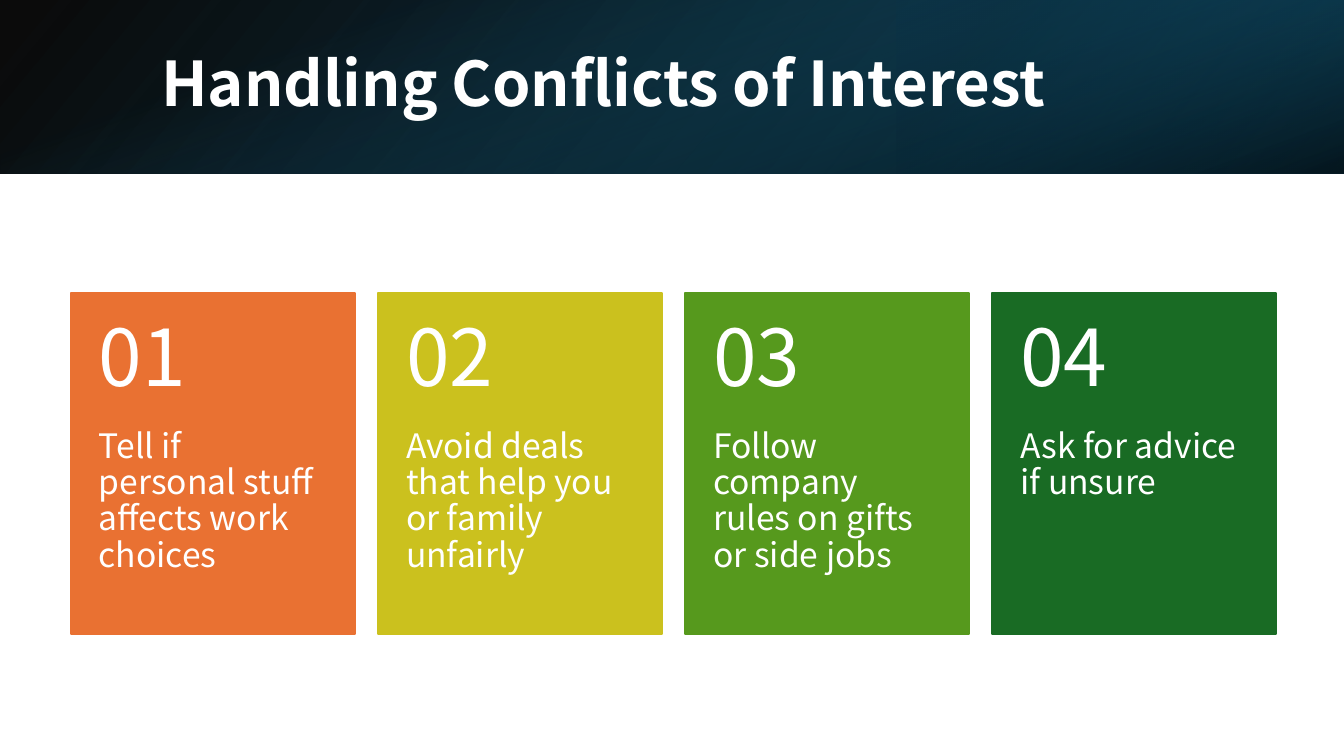
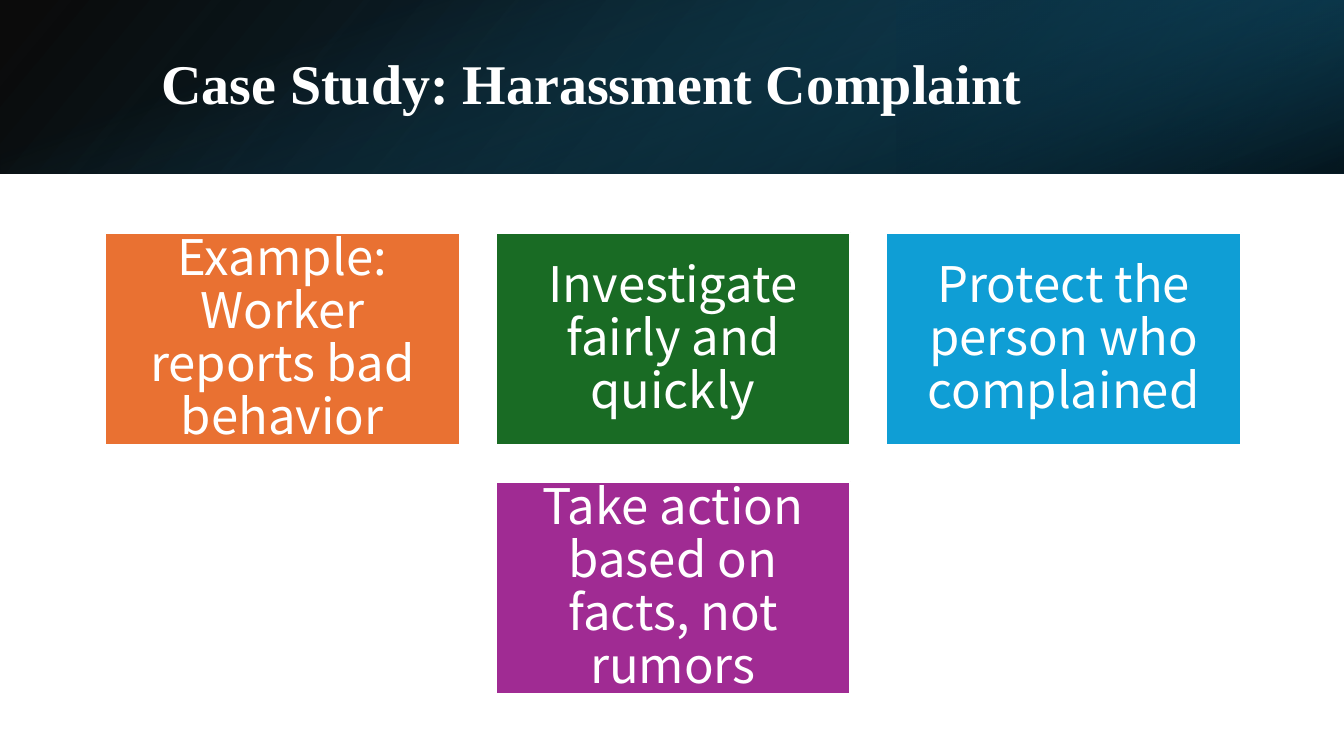
from dataclasses import dataclass

from lxml.etree import SubElement
from pptx import Presentation
from pptx.dml.color import RGBColor
from pptx.enum.shapes import MSO_SHAPE
from pptx.enum.text import MSO_ANCHOR, MSO_AUTO_SIZE, PP_ALIGN
from pptx.oxml.ns import qn
from pptx.shapes.autoshape import Shape
from pptx.slide import Slide
from pptx.text.text import TextFrame
from pptx.util import Inches, Pt

COLORS = {
    "white": "FFFFFF",
    "black": "000000",
    "navy": "104862",
    "deep": "0B3041",
    "teal": "156082",
    "orange": "E97132",
    "yellow": "CBC11E",
    "lime": "56991D",
    "green": "196B24",
    "blue": "0F9ED5",
    "purple": "A02B93",
}
BODY_FONT = "Noto Sans CJK SC"
SERIF_FONT = "Times New Roman"
SLIDE_WIDTH, SLIDE_HEIGHT = 13.33, 7.5
BAND_HEIGHT = 1.72
TITLE_ONLY_LAYOUT = 5


@dataclass(frozen=True)
class Box:
    left: float
    top: float
    width: float
    height: float

    def lengths(self) -> tuple[int, ...]:
        return tuple(Inches(v) for v in (self.left, self.top, self.width, self.height))


@dataclass(frozen=True)
class Stop:
    position: int
    color: str
    opacity: int = 100


@dataclass(frozen=True)
class Band:
    box: Box
    stops: tuple[Stop, Stop]
    angle: int
    rotation: int = 0
    flipped: bool = False


@dataclass(frozen=True)
class TextStyle:
    size: int
    font: str = BODY_FONT
    bold: bool = False
    alignment: PP_ALIGN = PP_ALIGN.LEFT
    anchor: MSO_ANCHOR = MSO_ANCHOR.MIDDLE
    insets: tuple[float, float, float, float] = (0.1, 0.05, 0.1, 0.05)


@dataclass(frozen=True)
class Card:
    text: str
    color: str


BANDS = (
    Band(Box(0, 0, SLIDE_WIDTH, BAND_HEIGHT),
         (Stop(0, "black", 96), Stop(100, "navy")), 140, flipped=True),
    Band(Box(8.89, 0, 4.44, BAND_HEIGHT),
         (Stop(19, "deep", 68), Stop(100, "teal", 79)), 320, rotation=180, flipped=True),
    Band(Box((SLIDE_WIDTH - BAND_HEIGHT) / 2, (BAND_HEIGHT - SLIDE_WIDTH) / 2,
             BAND_HEIGHT, SLIDE_WIDTH),
         (Stop(23, "teal", 0), Stop(99, "black", 74)), 340, rotation=90),
)
TITLE_BOX = Box(1.5, 0.38, 10.98, 0.96)

CONFLICT_CARDS = (
    Card("Tell if personal stuff affects work choices", "orange"),
    Card("Avoid deals that help you or family unfairly", "yellow"),
    Card("Follow company rules on gifts or side jobs", "lime"),
    Card("Ask for advice if unsure", "green"),
)
CASE_CARDS = (
    Card("Example: Worker reports bad behavior", "orange"),
    Card("Investigate fairly and quickly", "green"),
    Card("Protect the person who complained", "blue"),
    Card("Take action based on facts, not rumors", "purple"),
)
NUMBER_STYLE = TextStyle(56, insets=(0.28, 0.18, 0.28, 0.18))
ADVICE_STYLE = TextStyle(24, anchor=MSO_ANCHOR.TOP, insets=(0.28, 0, 0.28, 0.36))
CASE_STYLE = TextStyle(35, alignment=PP_ALIGN.CENTER, insets=(0.15, 0.15, 0.15, 0.15))


def rgb(name: str) -> RGBColor:
    return RGBColor.from_string(COLORS[name])


def write(frame: TextFrame, text: str, style: TextStyle) -> None:
    frame.text = text
    frame.word_wrap = True
    frame.auto_size = MSO_AUTO_SIZE.NONE
    frame.vertical_anchor = style.anchor
    (frame.margin_left, frame.margin_top,
     frame.margin_right, frame.margin_bottom) = map(Inches, style.insets)
    paragraph = frame.paragraphs[0]
    paragraph.alignment = style.alignment
    paragraph.line_spacing = 0.9
    paragraph.font.size = Pt(style.size)
    paragraph.font.name = style.font
    paragraph.font.bold = style.bold
    paragraph.font.color.rgb = rgb("white")


def add_rectangle(slide: Slide, box: Box) -> Shape:
    shape = slide.shapes.add_shape(MSO_SHAPE.RECTANGLE, *box.lengths())
    shape.shadow.inherit = False
    return shape


def add_card(slide: Slide, box: Box, color: str, line_color: str) -> Shape:
    shape = add_rectangle(slide, box)
    shape.fill.solid()
    shape.fill.fore_color.rgb = rgb(color)
    shape.line.color.rgb = rgb(line_color)
    shape.line.width = Pt(1.5)
    return shape


def add_text(slide: Slide, box: Box, text: str, style: TextStyle) -> None:
    write(slide.shapes.add_textbox(*box.lengths()).text_frame, text, style)


def add_band(slide: Slide, band: Band) -> None:
    """Draw a rectangle whose gradient stops may be translucent."""
    shape = add_rectangle(slide, band.box)
    shape.rotation = band.rotation
    shape.line.fill.background()
    properties = shape._element.spPr
    if band.flipped:
        properties.find(qn("a:xfrm")).set("flipH", "1")
    gradient = SubElement(properties, qn("a:gradFill"), rotWithShape="1")
    properties.find(qn("a:prstGeom")).addnext(gradient)
    stop_list = SubElement(gradient, qn("a:gsLst"))
    for stop in band.stops:
        entry = SubElement(stop_list, qn("a:gs"), pos=str(stop.position * 1000))
        color = SubElement(entry, qn("a:srgbClr"), val=COLORS[stop.color])
        if stop.opacity < 100:
            SubElement(color, qn("a:alpha"), val=str(stop.opacity * 1000))
    SubElement(gradient, qn("a:lin"), ang=str(band.angle * 60000), scaled="0")


def add_titled_slide(presentation: Presentation, text: str, style: TextStyle) -> Slide:
    """Add a slide with the header bands behind its title."""
    slide = presentation.slides.add_slide(presentation.slide_layouts[TITLE_ONLY_LAYOUT])
    slide.background.fill.solid()
    slide.background.fill.fore_color.rgb = rgb("white")
    for band in BANDS:
        add_band(slide, band)
    title = slide.shapes.title
    title.left, title.top, title.width, title.height = TITLE_BOX.lengths()
    write(title.text_frame, text, style)
    slide.shapes._spTree.append(title._element)
    return slide


def build_conflicts_slide(presentation: Presentation) -> None:
    slide = add_titled_slide(presentation, "Handling Conflicts of Interest",
                             TextStyle(44, bold=True))
    first_left, last_left, top = 0.7, 9.84, 2.91
    width, height, number_height = 2.82, 3.38, 1.35
    pitch = (last_left - first_left) / (len(CONFLICT_CARDS) - 1)
    for index, card in enumerate(CONFLICT_CARDS):
        left = first_left + index * pitch
        add_card(slide, Box(left, top, width, height), card.color, card.color)
        add_text(slide, Box(left, top + number_height, width, height - number_height),
                 card.text, ADVICE_STYLE)
        add_text(slide, Box(left, top, width, number_height),
                 f"{index + 1:02}", NUMBER_STYLE)


def build_case_slide(presentation: Presentation) -> None:
    slide = add_titled_slide(presentation, "Case Study: Harassment Complaint",
                             TextStyle(40, SERIF_FONT, bold=True))
    columns, width, height = 3, 3.52, 2.11
    first_left, last_left, first_top, row_pitch = 1.04, 8.79, 2.31, 2.47
    column_pitch = (last_left - first_left) / (columns - 1)
    for index, card in enumerate(CASE_CARDS):
        row, column = divmod(index, columns)
        cards_in_row = min(columns, len(CASE_CARDS) - row * columns)
        centred_column = column + (columns - cards_in_row) / 2
        box = Box(first_left + centred_column * column_pitch,
                  first_top + row * row_pitch, width, height)
        shape = add_card(slide, box, card.color, "white")
        write(shape.text_frame, card.text, CASE_STYLE)


def main() -> None:
    presentation = Presentation()
    presentation.slide_width = Inches(SLIDE_WIDTH)
    presentation.slide_height = Inches(SLIDE_HEIGHT)
    build_conflicts_slide(presentation)
    build_case_slide(presentation)
    presentation.save("out.pptx")


if __name__ == "__main__":
    main()
